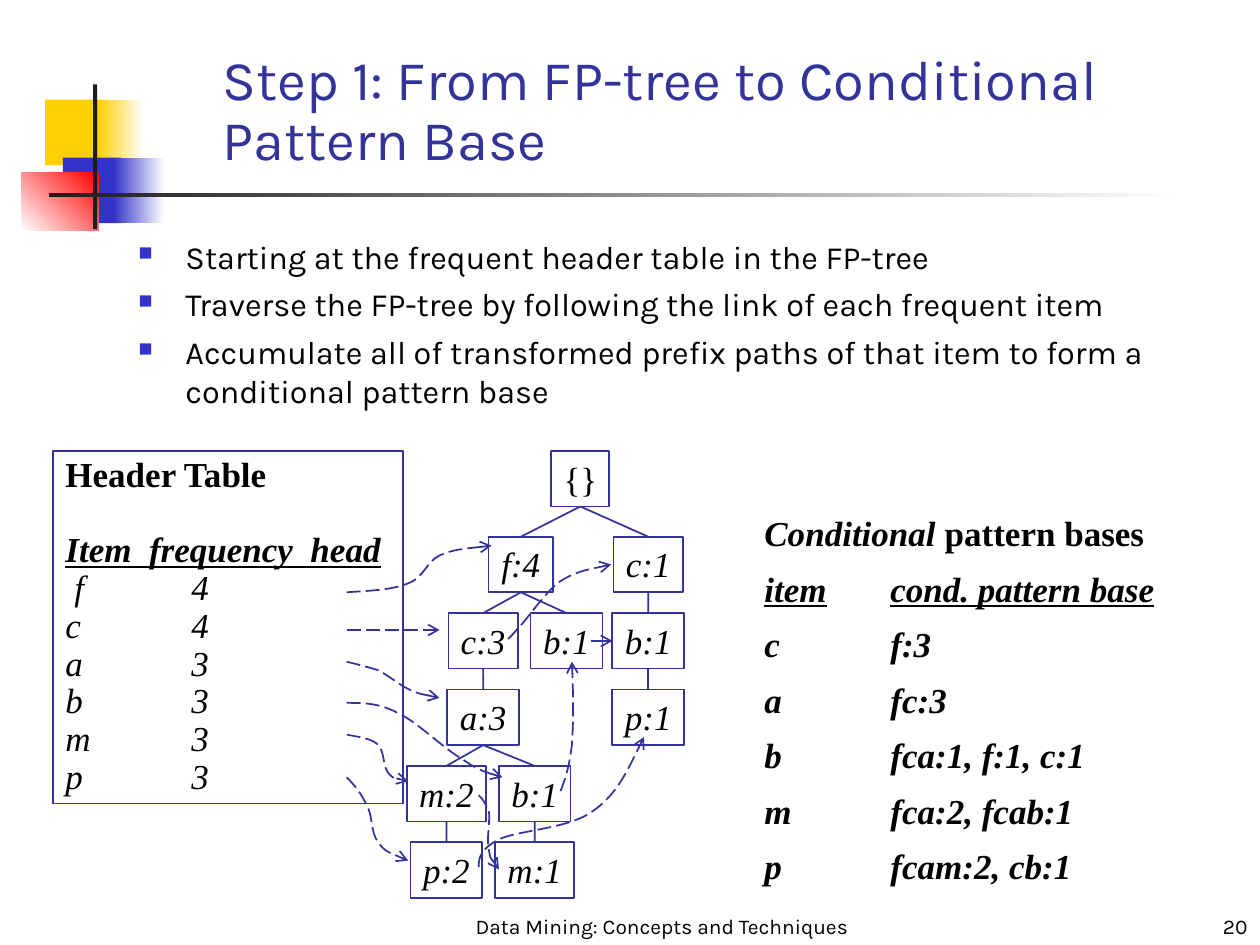
from dataclasses import dataclass, field

from lxml import etree
from pptx import Presentation
from pptx.dml.color import RGBColor
from pptx.enum.dml import MSO_LINE
from pptx.enum.shapes import MSO_CONNECTOR, MSO_SHAPE
from pptx.enum.text import MSO_ANCHOR, PP_ALIGN
from pptx.oxml.ns import qn
from pptx.util import Cm, Pt

RECTANGLE, STRAIGHT, LONG_DASH = MSO_SHAPE.RECTANGLE, MSO_CONNECTOR.STRAIGHT, MSO_LINE.LONG_DASH
TOP, BOTTOM = MSO_ANCHOR.TOP, MSO_ANCHOR.BOTTOM
LEFT, CENTER, RIGHT = PP_ALIGN.LEFT, PP_ALIGN.CENTER, PP_ALIGN.RIGHT
SIDE_TOP, SIDE_LEFT, SIDE_BOTTOM = 0, 1, 2

BLACK, WHITE = RGBColor(0, 0, 0), RGBColor(255, 255, 255)
INDIGO, BLUE = RGBColor(0x33, 0x33, 0x99), RGBColor(0x33, 0x33, 0xCC)
YELLOW, RED = RGBColor(0xFF, 0xCF, 0x01), RGBColor(255, 0, 0)
CHARCOAL = RGBColor(0x1C, 0x1C, 0x1C)

SANS, SERIF = "Karla", "Times New Roman"
TAB_PITCH, TAB_COUNT = 2.54, 8
ROOT_TOP, FIRST_ROW_TOP, ROW_PITCH, NODE_HEIGHT = 9.09, 10.82, 1.54, 1.12
LINKS_LEFT = 6.99


@dataclass
class Box:
    left: float
    top: float
    width: float
    height: float

    def lengths(self) -> list[Cm]:
        return [Cm(v) for v in (self.left, self.top, self.width, self.height)]


@dataclass
class Mark:
    box: Box
    start: RGBColor
    end: RGBColor | None = None
    angle: int = 0


@dataclass
class Line:
    """One paragraph: (text, font values) runs and paragraph values."""
    runs: list[tuple[str, dict]]
    layout: dict = field(default_factory=dict)
    first_indent: float = 0
    margin: float = 0
    bullet: bool = False
    color: RGBColor = BLACK


@dataclass
class Node:
    text: str
    center: float
    row: int
    width: float
    parent: str | None = None


def apply(target, values: dict) -> None:
    for name, value in values.items():
        setattr(target, name, value)


def sub(parent, tag: str, **attributes: str):
    return etree.SubElement(parent, qn(tag), attributes)


def write(frame, lines: list[Line], **frame_values) -> None:
    apply(frame, {"word_wrap": True, "vertical_anchor": TOP, **frame_values})
    for number, line in enumerate(lines):
        paragraph = frame.add_paragraph() if number else frame.paragraphs[0]
        properties = paragraph._p.get_or_add_pPr()
        apply_indents = {"marL": line.margin, "indent": line.first_indent, "defTabSz": TAB_PITCH}
        for name, length in apply_indents.items():
            properties.set(name, str(Cm(length)))
        if line.bullet:
            sub(sub(properties, "a:buClr"), "a:srgbClr", val=str(BLUE))
            sub(properties, "a:buSzPct", val="60000")
            sub(properties, "a:buChar", char="■")
        if any("\t" in text for text, _ in line.runs):
            tabs = sub(properties, "a:tabLst")
            for stop in range(TAB_COUNT):
                sub(tabs, "a:tab", pos=str(Cm(stop * TAB_PITCH)), algn="l")
        apply(paragraph, {"alignment": LEFT, **line.layout})
        for text, font_values in line.runs:
            run = paragraph.add_run()
            run.text = text
            apply(run.font, font_values)
            run.font.color.rgb = line.color


def add_text(slide, box: Box, lines: list[Line], **frame_values) -> None:
    write(slide.shapes.add_textbox(*box.lengths()).text_frame, lines, **frame_values)


def add_mark(slide, mark: Mark) -> None:
    shape = slide.shapes.add_shape(RECTANGLE, *mark.box.lengths())
    shape.shadow.inherit = False
    shape.line.fill.background()
    if mark.end is None:
        shape.fill.solid()
        shape.fill.fore_color.rgb = mark.start
        return
    shape.fill.gradient()
    shape.fill.gradient_angle = mark.angle
    for stop, color in zip(shape.fill.gradient_stops, (mark.start, mark.end)):
        stop.color.rgb = color


def add_outlined(slide, box: Box, lines: list[Line], **frame_values):
    shape = slide.shapes.add_shape(RECTANGLE, *box.lengths())
    shape.shadow.inherit = False
    shape.fill.background()
    style_line(shape)
    write(shape.text_frame, lines, **frame_values)
    return shape


def style_line(shape, link: bool = False) -> None:
    """Thin indigo line; a link is dashed and ends in an arrowhead."""
    shape.line.color.rgb = INDIGO
    shape.line.width = Pt(1)
    if link:
        shape.line.dash_style = LONG_DASH
        sub(shape._element.spPr.find(qn("a:ln")), "a:tailEnd", type="arrow")


def add_straight(slide, start: tuple = (0, 0), end: tuple = (0, 0), link: bool = False):
    connector = slide.shapes.add_connector(STRAIGHT, *[Cm(v) for v in (*start, *end)])
    style_line(connector, link)
    sub(connector._element.spPr, "a:effectLst")
    return connector


def add_curved_link(slide, points: list[tuple[float, float]]) -> None:
    """Bezier link: a start, then two control points and an end per segment."""
    start, *rest = [(Cm(x), Cm(y)) for x, y in points]
    builder = slide.shapes.build_freeform(*start)
    builder.add_line_segments(rest, close=False)
    shape = builder.convert_to_shape()
    path = shape._element.spPr.find(".//" + qn("a:path"))
    steps = path.findall(qn("a:lnTo"))
    for first in range(0, len(steps), 3):
        curve = sub(path, "a:cubicBezTo")
        for step in steps[first:first + 3]:
            curve.append(step[0])
            path.remove(step)
    shape.shadow.inherit = False
    shape.fill.background()
    style_line(shape, link=True)


MARKS = [
    Mark(Box(0.91, 2.01, 1.22, 1.32), YELLOW),
    Mark(Box(1.98, 2.01, 0.91, 1.32), YELLOW, WHITE),
    Mark(Box(1.27, 3.18, 1.17, 1.32), BLUE),
    Mark(Box(2.29, 3.18, 1.02, 1.32), BLUE, WHITE),
    Mark(Box(0.43, 3.48, 1.55, 1.17), WHITE, RED, 45),
    Mark(Box(1.88, 1.7, 0.08, 2.92), CHARCOAL),
    Mark(Box(0.99, 3.89, 22.86, 0.08), CHARCOAL, WHITE),
]
POINTS = ["Starting at the frequent header table in the FP-tree",
          "Traverse the FP-tree by following the link of each frequent item",
          "Accumulate all of transformed prefix paths of that item to form a conditional pattern base"]
FREQUENCIES = {"f": 4, "c": 4, "a": 3, "b": 3, "m": 3, "p": 3}
PATTERN_BASES = {"c": "f:3", "a": "fc:3", "b": "fca:1, f:1, c:1", "m": "fca:2, fcab:1", "p": "fcam:2, cb:1"}
TREE = {
    "root": Node("{}", 11.7, 0, 1.17),
    "f": Node("f:4", 10.5, 1, 1.3, "root"),
    "c right": Node("c:1", 13.07, 1, 1.4, "root"),
    "b right": Node("b:1", 13.07, 2, 1.45, "c right"),
    "p right": Node("p:1", 13.07, 3, 1.45, "b right"),
    "b middle": Node("b:1", 11.42, 2, 1.45, "f"),
    "c": Node("c:3", 9.74, 2, 1.4, "f"),
    "a": Node("a:3", 9.74, 3, 1.45, "c"),
    "b": Node("b:1", 10.78, 4, 1.45, "a"),
    "m": Node("m:2", 9, 4, 1.6, "a"),
    "p": Node("p:2", 9, 5, 1.45, "m"),
    "m low": Node("m:1", 10.78, 5, 1.6, "b"),
}
CURVED_LINKS = [
    [(LINKS_LEFT, 11.94), (7.47, 11.91), (7.92, 11.89), (8.23, 11.76), (8.56, 11.63), (8.59, 11.33), (8.86, 11.2),
     (9.14, 11.07), (9.53, 11.05), (9.91, 11)],
    [(10.24, 12.88), (10.24, 12.88), (10.26, 12.88), (10.44, 12.67), (10.62, 12.5), (10.97, 11.96), (11.28, 11.73),
     (11.58, 11.53), (11.96, 11.46), (12.32, 11.38)],
    [(LINKS_LEFT, 13.34), (7.19, 13.39), (7.39, 13.44), (7.62, 13.51), (7.82, 13.61), (8.03, 13.79), (8.23, 13.89),
     (8.46, 14), (8.66, 14.02), (8.86, 14.07)],
    [(LINKS_LEFT, 14.17), (7.32, 14.17), (7.65, 14.17), (8.03, 14.38), (8.41, 14.55), (8.94, 15.09), (9.3, 15.29),
     (9.63, 15.52), (9.88, 15.6), (10.13, 15.67)],
    [(11.3, 15.95), (11.4, 15.7), (11.48, 15.44), (11.53, 15.01), (11.56, 14.58), (11.56, 13.97), (11.53, 13.34)],
    [(LINKS_LEFT, 14.81), (7.24, 14.86), (7.47, 14.88), (7.62, 15.01), (7.75, 15.14), (7.72, 15.44), (7.82, 15.57),
     (7.92, 15.7), (8.08, 15.72), (8.23, 15.75)],
    [(9.65, 16.03), (9.73, 16.1), (9.8, 16.21), (9.86, 16.38), (9.88, 16.59), (9.8, 16.97), (9.86, 17.15),
     (9.88, 17.32), (9.98, 17.42), (10.06, 17.53)],
    [(LINKS_LEFT, 15.67), (7.14, 15.82), (7.29, 16), (7.39, 16.23), (7.52, 16.43), (7.47, 16.79), (7.62, 16.97),
     (7.75, 17.17), (8, 17.25), (8.23, 17.35)],
    [(9.65, 17.48), (9.65, 17.3), (9.68, 17.12), (10.06, 16.92), (10.44, 16.74), (11.46, 16.71), (11.94, 16.36),
     (12.42, 16.03), (12.7, 15.44), (12.98, 14.86)],
]


def add_texts(slide) -> None:
    title_font, body_font, footer_font = ({"name": SANS, "size": Pt(size)} for size in (32, 18.5, 12))
    add_text(slide, Box(9.32, 17.98, 8.05, 1.07), [
        Line([("Data Mining: Concepts and Techniques", footer_font)], {"alignment": CENTER})], vertical_anchor=BOTTOM)
    add_text(slide, Box(20.12, 17.98, 5.28, 1.07), [
        Line([("20", footer_font)], {"alignment": RIGHT})], vertical_anchor=BOTTOM)
    add_text(slide, Box(4.24, 0.64, 20.32, 2.97), [
        Line([("Step 1: From FP-tree to Conditional Pattern Base", title_font)],
             {"line_spacing": 0.9}, color=INDIGO)], vertical_anchor=BOTTOM)
    add_text(slide, Box(2.54, 4.65, 21.95, 4.01), [
        Line([(point, body_font)], {"space_before": Pt(5 if number else 0)}, -0.95, 0.95, True)
        for number, point in enumerate(POINTS)])

    bold = {"name": SERIF, "size": Pt(20), "bold": True}
    slanted = bold | {"italic": True}
    heading = slanted | {"underline": True}
    spaced = {"line_spacing": 0.8, "space_before": Pt(12.5)}
    add_text(slide, Box(15.16, 10.19, 9.25, 7.82), [
        Line([("Conditional ", slanted), ("pattern bases", bold)]),
        Line([("item", heading), ("\t", slanted), ("cond. pattern base", heading)], spaced),
        *[Line([(f"{item}\t{base}", slanted)], spaced) for item, base in PATTERN_BASES.items()]])

    tight = {"line_spacing": 0.9}
    add_outlined(slide, Box(1.07, ROOT_TOP, 7.06, 7.11), [
        Line([("Header Table", bold)], tight),
        Line([("Item  frequency  head", heading)], tight | {"space_before": Pt(21.5)}),
        *[Line([(f"{item}\t{count}", slanted | {"bold": False})], tight, 0.18 if item == "f" else 0)
          for item, count in FREQUENCIES.items()]])


def add_tree(slide) -> None:
    placed = {}
    for key, node in TREE.items():
        top = FIRST_ROW_TOP + (node.row - 1) * ROW_PITCH if node.row else ROOT_TOP
        font = {"name": SERIF, "size": Pt(20), "italic": node.row > 0}
        placed[key] = add_outlined(slide, Box(node.center - node.width / 2, top, node.width, NODE_HEIGHT),
                                   [Line([(node.text, font)], {"alignment": CENTER})],
                                   word_wrap=False, margin_left=0, margin_right=0)
        if node.parent:
            edge = add_straight(slide)
            edge.begin_connect(placed[node.parent], SIDE_BOTTOM)
            edge.end_connect(placed[key], SIDE_TOP)
    add_straight(slide, (LINKS_LEFT, 12.7), (8.86, 12.7), link=True)
    sibling_link = add_straight(slide, (11.91, 12.92), (12.34, 12.92), link=True)
    sibling_link.end_connect(placed["b right"], SIDE_LEFT)
    for points in CURVED_LINKS:
        add_curved_link(slide, points)


def main() -> None:
    deck = Presentation()
    deck.slide_width, deck.slide_height = Cm(25.4), Cm(19.05)
    slide = deck.slides.add_slide(deck.slide_layouts[6])
    for mark in MARKS:
        add_mark(slide, mark)
    add_texts(slide)
    add_tree(slide)
    deck.save("out.pptx")


if __name__ == "__main__":
    main()
